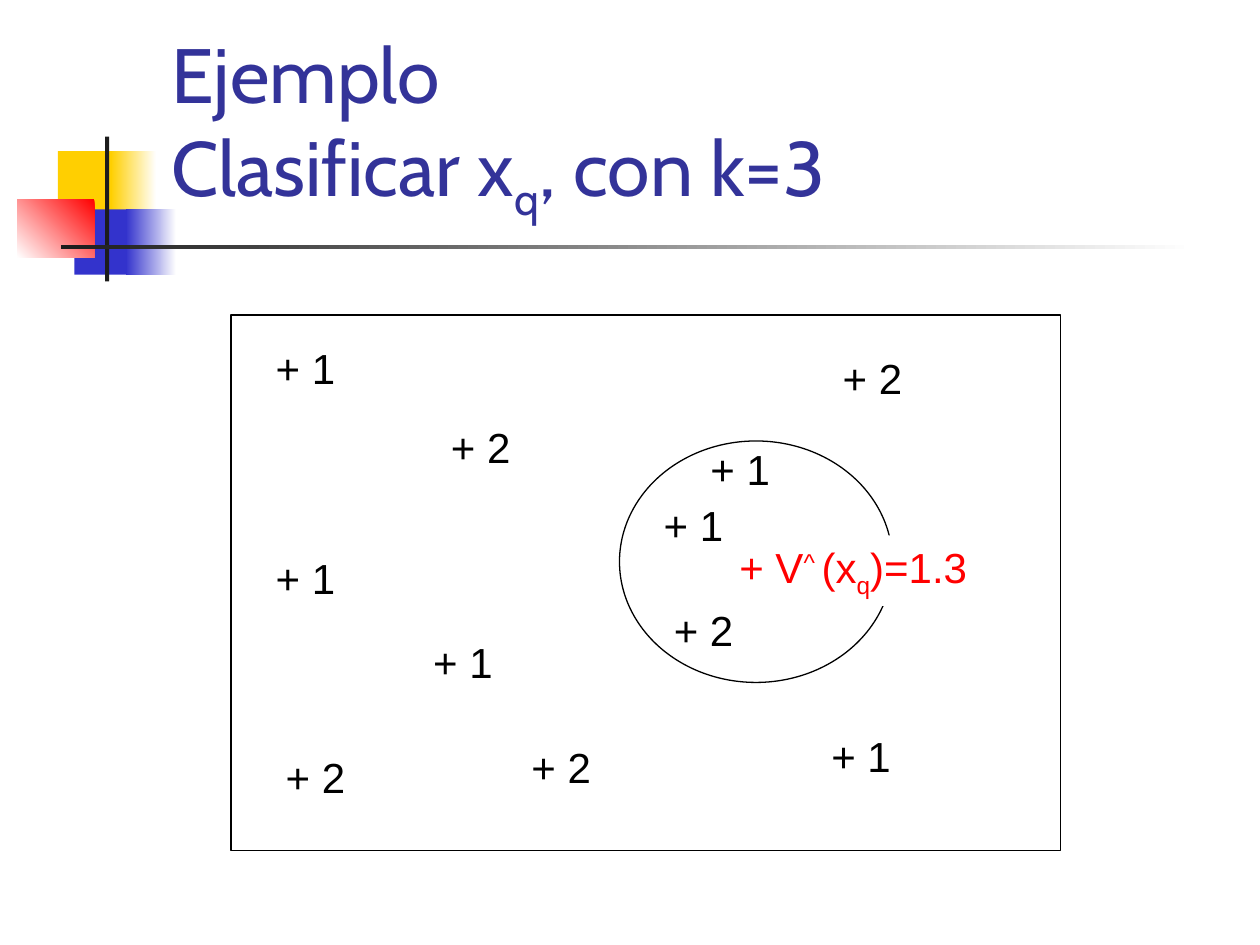
from dataclasses import dataclass

from pptx import Presentation
from pptx import util as u
from pptx.dml.color import RGBColor
from pptx.enum import shapes, text

Pt = u.Pt


@dataclass(frozen=True)
class Theme:
    title_font: str = "Cabin"
    body_font: str = "Arial"
    title_size: float = 44
    body_size: float = 24
    line_width: float = 0.75
    title: str = "333399"
    ink: str = "000000"
    paper: str = "FFFFFF"
    query: str = "FF0000"
    yellow: str = "FFCF01"
    blue: str = "3333CC"
    red: str = "FF0000"
    rule: str = "1C1C1C"


class Canvas:
    def __init__(self, slide, theme):
        self.slide = slide
        self.theme = theme

    def shape(self, box, fill=None, line=None, kind=shapes.MSO_SHAPE.RECTANGLE):
        item = self.slide.shapes.add_shape(kind, *map(Pt, box))
        item.shadow.inherit = False
        if fill:
            item.fill.solid()
            item.fill.fore_color.rgb = RGBColor.from_string(fill)
        else:
            item.fill.background()
        if line:
            item.line.color.rgb = RGBColor.from_string(line)
            item.line.width = Pt(self.theme.line_width)
        else:
            item.line.fill.background()
        return item

    def fade(self, box, start, end, angle=180):
        item = self.shape(box)
        item.fill.gradient()
        item.fill.gradient_angle = angle
        for stop, color in zip(item.fill.gradient_stops, (start, end)):
            stop.color.rgb = RGBColor.from_string(color)

    def add_runs(self, paragraph, runs, font, size, color):
        """Add (words, baseline percent) runs to a paragraph."""
        paragraph.alignment = text.PP_ALIGN.LEFT
        for words, baseline in runs:
            run = paragraph.add_run()
            run.text = words
            run.font.name = font
            run.font.size = Pt(size)
            run.font.color.rgb = RGBColor.from_string(color)
            if baseline:
                run.font._element.set("baseline", str(baseline * 1000))

    def heading(self, box, lines):
        frame = self.slide.shapes.add_textbox(*map(Pt, box)).text_frame
        frame.word_wrap = True
        frame.vertical_anchor = text.MSO_ANCHOR.BOTTOM
        paragraph = frame.paragraphs[0]
        for number, runs in enumerate(lines):
            if number:
                paragraph.add_line_break()
            self.add_runs(paragraph, runs, self.theme.title_font,
                          self.theme.title_size, self.theme.title)

    def label(self, box, runs, color, fill=None):
        item = self.shape(box, fill) if fill else self.slide.shapes.add_textbox(*map(Pt, box))
        frame = item.text_frame
        frame.word_wrap = False
        frame.auto_size = text.MSO_AUTO_SIZE.SHAPE_TO_FIT_TEXT
        frame.vertical_anchor = text.MSO_ANCHOR.TOP
        self.add_runs(frame.paragraphs[0], runs, self.theme.body_font,
                      self.theme.body_size, color)


def main():
    theme = Theme()
    deck = Presentation()
    deck.slide_width, deck.slide_height = Pt(720), Pt(540)
    canvas = Canvas(deck.slides.add_slide(deck.slide_layouts[6]), theme)

    # Corner ornament and title rule
    canvas.shape((33.1, 86.4, 34.6, 37.4), theme.yellow)
    canvas.fade((63.4, 86.4, 25.9, 37.4), theme.paper, theme.yellow)
    canvas.shape((42.5, 119.6, 33.1, 37.4), theme.blue)
    canvas.fade((72, 119.6, 28.8, 37.4), theme.paper, theme.blue)
    canvas.fade((9.8, 113.8, 44.2, 33.3), theme.red, theme.paper, angle=225)
    canvas.shape((60, 78, 2.4, 82.8), theme.rule)
    canvas.fade((34.6, 140, 648, 2.5), theme.paper, theme.rule)

    # Title
    canvas.heading((90.7, 16.6, 613.4, 115.2), [
        [("Ejemplo", 0)],
        [("Clasificar x", 0), ("q", -25), (", con k=3", 0)],
    ])

    # Sample space and neighbourhood of the query
    canvas.shape((132, 180, 474, 306), theme.paper, theme.ink)
    canvas.shape((354, 252, 156, 138), line=theme.ink, kind=shapes.MSO_SHAPE.OVAL)

    # Query point with its estimated value
    canvas.label((415.4, 306, 144.7, 40.3), [
        ("+ V", 0), ("^ ", 30), ("(x", 0), ("q", -25), (")=1.3", 0),
    ], theme.query, theme.paper)

    # Training points by value
    points = {
        "1": [(150.5, 192), (398.9, 250), (372.2, 282), (150.5, 312),
              (240.5, 360), (468, 414)],
        "2": [(474.5, 198), (250.6, 237.6), (378, 342), (296.6, 420),
              (156.2, 426)],
    }
    for value, corners in points.items():
        for left, top in corners:
            canvas.label((left, top, 48.2, 36), [("+ " + value, 0)], theme.ink)

    deck.save("out.pptx")


if __name__ == "__main__":
    main()
